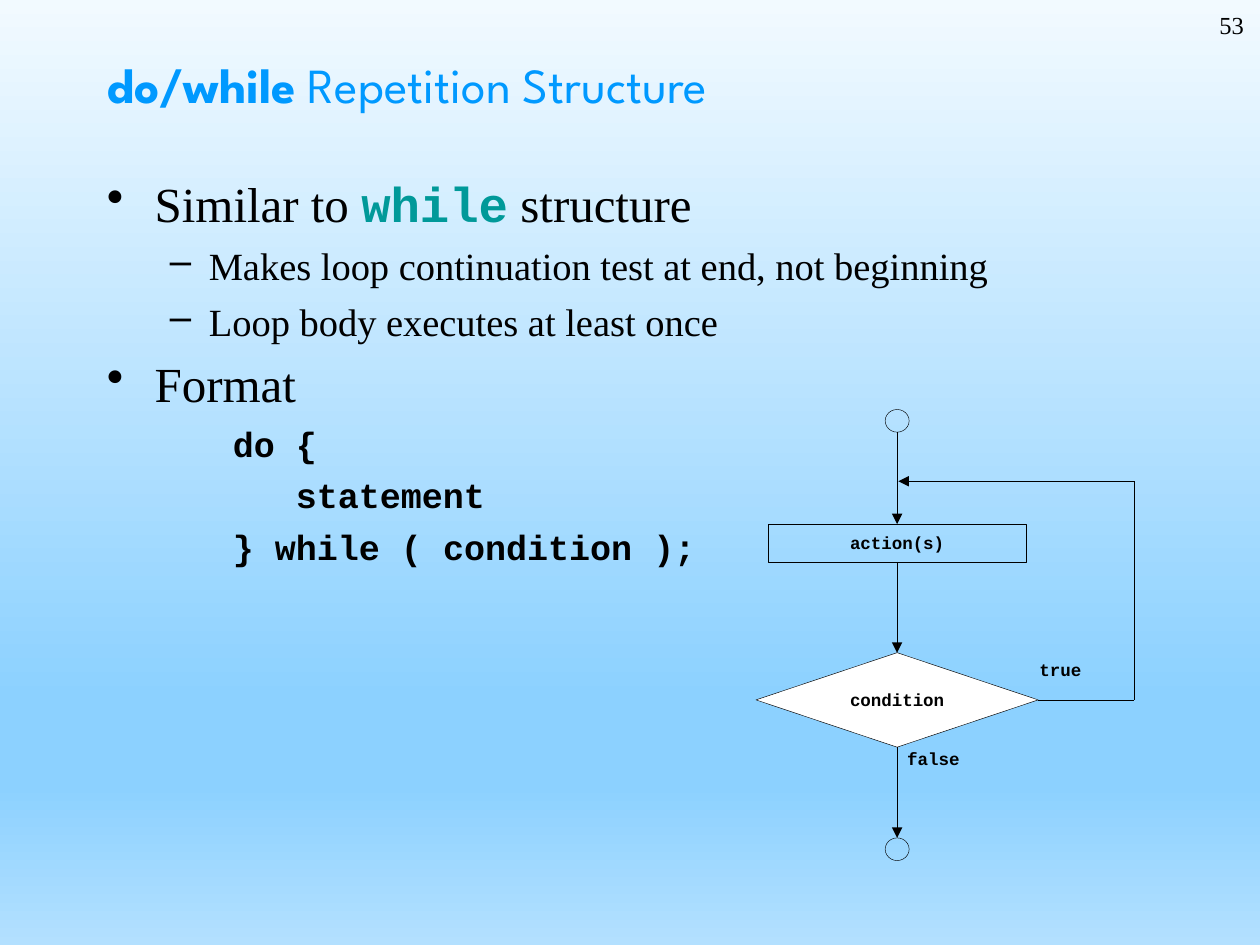
import pptx
import pptx.dml.color
import pptx.enum.shapes
import pptx.enum.text
import pptx.oxml
import pptx.oxml.ns
import pptx.util
from pptx.util import Inches

SHAPES = pptx.enum.shapes.MSO_SHAPE
ALIGN = pptx.enum.text.PP_ALIGN
ANCHOR = pptx.enum.text.MSO_ANCHOR
NAMESPACE = pptx.oxml.ns.nsdecls("a", "p")
SERIF, MONO, TITLE_FONT = "Times New Roman", "Courier New", "League Spartan"
BLACK, WHITE, TEAL, BLUE = "000000", "FFFFFF", "009999", "0099FF"
LINE_WIDTH = pptx.util.Pt(0.25)
BACKGROUND_STOPS = [(0, "F2FAFF"), (74, "8CD1FF"), (83, "8CD1FF"), (100, "B3E0FF")]

LEVELS = {
    "bullet": (0.38, -0.38, "•", 28),
    "dash": (0.81, -0.31, "–", 22),
    "code": (1, 0, None, 20),
    "nested code": (1.5, 0, None, 20),
}
BODY = [
    ("bullet", [("Similar to ", SERIF, BLACK), ("while", MONO, TEAL), (" structure", SERIF, BLACK)]),
    ("dash", [("Makes loop continuation test at end, not beginning", SERIF, BLACK)]),
    ("dash", [("Loop body executes at least once", SERIF, BLACK)]),
    ("bullet", [("Format", SERIF, BLACK)]),
    ("code", [("do {", MONO, BLACK)]),
    ("nested code", [("statement", MONO, BLACK)]),
    ("code", [("} while ( condition );", MONO, BLACK)]),
]


def colour(value):
    return pptx.dml.color.RGBColor.from_string(value)


def format_run(run, font, size, value, bold=False):
    run.font.name = font
    run.font.size = pptx.util.Pt(size)
    run.font.bold = bold
    run.font.color.rgb = colour(value)


def remove_insets(frame):
    frame.margin_left = frame.margin_right = frame.margin_top = frame.margin_bottom = 0


def set_background(slide):
    stops = "".join(
        f'<a:gs pos="{position * 1000}"><a:srgbClr val="{value}"/></a:gs>'
        for position, value in BACKGROUND_STOPS
    )
    slide.element.cSld.insert(0, pptx.oxml.parse_xml(
        f'<p:bg {NAMESPACE}><p:bgPr><a:gradFill rotWithShape="1"><a:gsLst>{stops}</a:gsLst>'
        '<a:lin ang="5400000" scaled="0"/></a:gradFill><a:effectLst/></p:bgPr></p:bg>'
    ))


def add_page_number(slide, left, top, width, height):
    frame = slide.shapes.add_textbox(left, top, width, height).text_frame
    frame.word_wrap = True
    paragraph = frame.paragraphs[0]
    paragraph.text = "53"
    paragraph.alignment = ALIGN.RIGHT
    format_run(paragraph.runs[0], SERIF, 14, BLACK)


def fill_title(slide, left, top, width, height):
    title = slide.shapes.title
    title.left, title.top, title.width, title.height = left, top, width, height
    frame = title.text_frame
    frame.auto_size = pptx.enum.text.MSO_AUTO_SIZE.NONE
    frame.vertical_anchor = ANCHOR.MIDDLE
    paragraph = frame.paragraphs[0]
    paragraph.alignment = ALIGN.LEFT
    for text, bold in [("do/while", True), (" Repetition Structure", False)]:
        run = paragraph.add_run()
        run.text = text
        format_run(run, TITLE_FONT, 28, BLUE, bold)


def add_body(slide, left, top, width, height):
    frame = slide.shapes.add_textbox(left, top, width, height).text_frame
    frame.word_wrap = True
    for index, (level, parts) in enumerate(BODY):
        paragraph = frame.add_paragraph() if index else frame.paragraphs[0]
        margin, indent, bullet, size = LEVELS[level]
        paragraph.space_before = pptx.util.Pt(5.5)
        for text, font, value in parts:
            run = paragraph.add_run()
            run.text = text
            format_run(run, font, size, value, font == MONO)
        properties = paragraph._p.get_or_add_pPr()
        properties.set("marL", str(Inches(margin)))
        properties.set("indent", str(Inches(indent)))
        if bullet:
            properties.append(pptx.oxml.parse_xml(f'<a:buChar {NAMESPACE} char="{bullet}"/>'))


def add_node(slide, kind, left, top, width, height, text="", fill=None):
    shape = slide.shapes.add_shape(kind, left, top, width, height)
    shape.shadow.inherit = False
    shape.line.color.rgb = colour(BLACK)
    shape.line.width = LINE_WIDTH
    if fill:
        shape.fill.solid()
        shape.fill.fore_color.rgb = colour(fill)
    else:
        shape.fill.background()
    if text:
        frame = shape.text_frame
        frame.text = text
        frame.vertical_anchor = ANCHOR.MIDDLE
        remove_insets(frame)
        frame.paragraphs[0].alignment = ALIGN.CENTER
        format_run(frame.paragraphs[0].runs[0], MONO, 10, BLACK, True)
    return shape


def add_label(slide, text, left, top, width, height):
    frame = slide.shapes.add_textbox(left, top, width, height).text_frame
    frame.word_wrap = True
    frame.text = text
    remove_insets(frame)
    format_run(frame.paragraphs[0].runs[0], MONO, 10, BLACK, True)


def add_line(slide, start, end, arrow=False, begin=None, finish=None):
    line = slide.shapes.add_connector(pptx.enum.shapes.MSO_CONNECTOR.STRAIGHT, *start, *end)
    line.line.color.rgb = colour(BLACK)
    line.line.width = LINE_WIDTH
    if arrow:
        line.line._get_or_add_ln().append(
            pptx.oxml.parse_xml(f'<a:tailEnd {NAMESPACE} type="triangle"/>'))
    line._element.spPr.append(pptx.oxml.parse_xml(f"<a:effectLst {NAMESPACE}/>"))
    if begin:
        line.begin_connect(*begin)
    if finish:
        line.end_connect(*finish)


def add_flowchart(slide, left, top, width, height):
    centre = left + Inches(1.12)
    right = left + width
    circle_width, circle_height = Inches(0.19), Inches(0.18)
    circle_left = centre - circle_width // 2
    action_width, condition_width = Inches(2.05), Inches(2.24)
    action_top, condition_top = top + Inches(0.91), top + Inches(1.93)
    condition_height = Inches(0.75)
    condition_bottom = condition_top + condition_height
    condition_middle = condition_top + condition_height // 2
    end_top = top + height - circle_height
    loop_top = top + Inches(0.57)

    add_node(slide, SHAPES.OVAL, circle_left, top, circle_width, circle_height)
    action = add_node(slide, SHAPES.RECTANGLE, centre - action_width // 2, action_top,
                      action_width, Inches(0.3), "action(s)")
    condition = add_node(slide, SHAPES.DIAMOND, left, condition_top,
                         condition_width, condition_height, "condition", WHITE)
    end = add_node(slide, SHAPES.OVAL, circle_left, end_top, circle_width, circle_height)

    add_line(slide, (centre, top + circle_height), (centre, action_top), True, finish=(action, 0))
    add_line(slide, (centre, action_top), (centre, condition_top), True, (action, 2), (condition, 0))
    add_line(slide, (centre, condition_bottom), (centre, end_top), True, (condition, 2), (end, 0))
    add_line(slide, (left + condition_width, condition_middle), (right, condition_middle),
             begin=(condition, 3))
    add_line(slide, (right, condition_middle), (right, loop_top))
    add_line(slide, (right, loop_top), (centre + Inches(0.01), loop_top), True)

    add_label(slide, "true", left + Inches(2.25), top + Inches(1.98), Inches(0.66), Inches(0.36))
    add_label(slide, "false", centre + Inches(0.08), condition_bottom + Inches(0.01),
              Inches(0.81), Inches(0.36))


def main():
    presentation = pptx.Presentation()
    presentation.slide_width, presentation.slide_height = Inches(10), Inches(7.5)
    slide = presentation.slides.add_slide(presentation.slide_layouts.get_by_name("Title Only"))
    set_background(slide)
    add_page_number(slide, Inches(7.89), Inches(0.03), Inches(2.08), Inches(0.5))
    fill_title(slide, Inches(0.75), Inches(0.08), Inches(8.5), Inches(1.17))
    add_body(slide, Inches(0.75), Inches(1.33), Inches(8.5), Inches(5.75))
    add_flowchart(slide, Inches(6), Inches(3.25), Inches(3), Inches(3.58))
    presentation.save("out.pptx")


if __name__ == "__main__":
    main()
